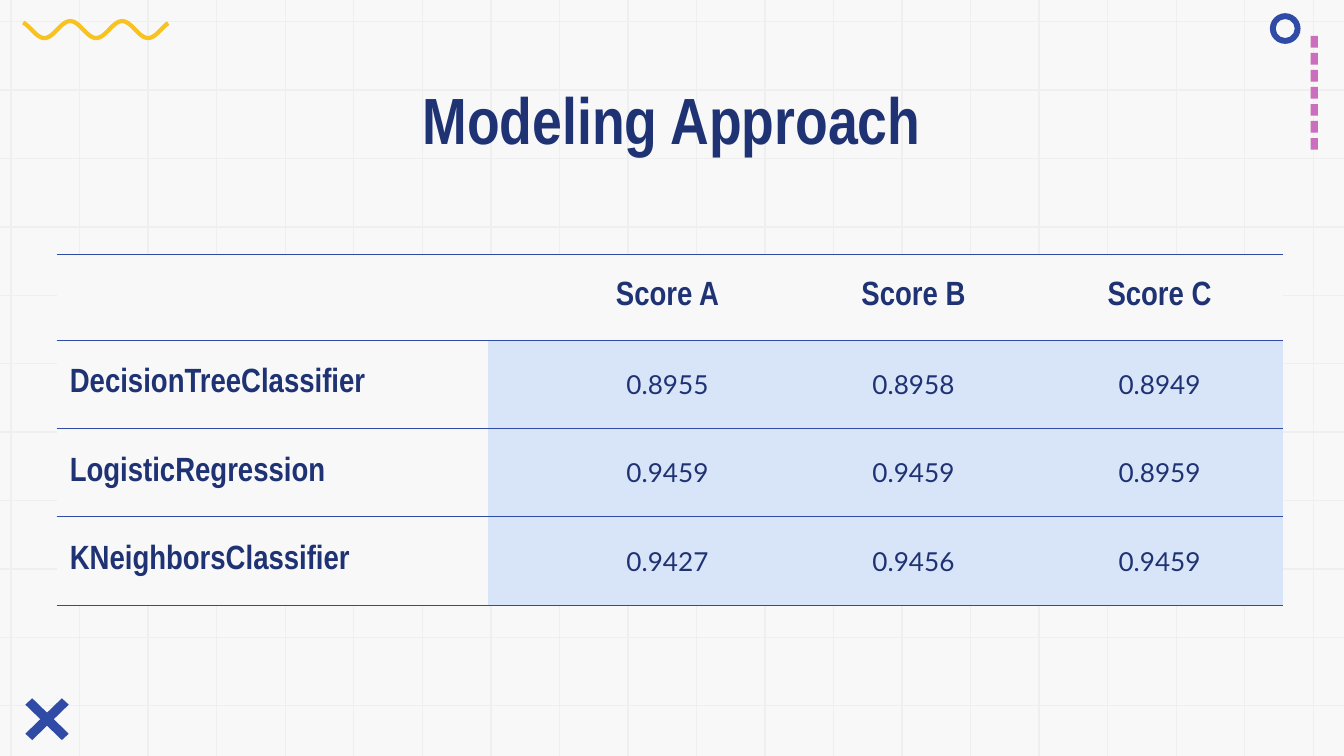
from math import atan, cos, pi, sin

from lxml.etree import SubElement
from pptx import Presentation
from pptx.dml.color import RGBColor
from pptx.enum.shapes import MSO_CONNECTOR, MSO_SHAPE
from pptx.enum.text import MSO_ANCHOR, PP_ALIGN
from pptx.oxml.ns import qn
from pptx.util import Cm, Pt

PAPER = RGBColor(0xF8, 0xF8, 0xF8)
GRID = RGBColor(0xEF, 0xEF, 0xEF)
NAVY = RGBColor(0x1F, 0x33, 0x74)
BLUE = RGBColor(0x30, 0x4B, 0xA6)
PALE = RGBColor(0xD8, 0xE4, 0xF7)
PINK = RGBColor(0xCB, 0x6E, 0xBE)
GOLD = RGBColor(0xF8, 0xC2, 0x20)

TITLE = "Modeling Approach"
ROWS = [
    ["", "", "Score A", "Score B", "Score C"],
    ["DecisionTreeClassifier", "", "0.8955", "0.8958", "0.8949"],
    ["LogisticRegression", "", "0.9459", "0.9459", "0.8959"],
    ["KNeighborsClassifier", "", "0.9427", "0.9456", "0.9459"],
]
WIDTHS = [8.15, 1.07, 4.65, 4.65, 4.65]
HEIGHTS = [1.62, 1.67, 1.67, 1.67]

HEAD = {"name": "Arial Narrow", "size": Pt(35), "bold": True}
LABEL = {"name": "Arial Narrow", "size": Pt(18), "bold": True}
SCORE = {"name": "Lato", "size": Pt(14), "bold": False}
CELL = {
    "margin_left": Cm(0.25), "margin_right": Cm(0.25),
    "margin_top": Cm(0.18), "margin_bottom": Cm(0.18),
    "vertical_anchor": MSO_ANCHOR.MIDDLE,
}
BOX = {
    "margin_left": Cm(0.25), "margin_right": Cm(0.25),
    "margin_top": Cm(0.25), "margin_bottom": Cm(0.25),
    "vertical_anchor": MSO_ANCHOR.TOP, "word_wrap": True,
}

WIDE, HIGH = 25.4, 14.29


def apply(item, values):
    for name, value in values.items():
        setattr(item, name, value)


def spread(first, last, count):
    """Return evenly spaced positions, both ends included."""
    gap = (last - first) / (count - 1)
    return [first + i * gap for i in range(count)]


def write(frame, text, style, align):
    para = frame.paragraphs[0]
    para.alignment = align
    run = para.add_run()
    run.text = text
    apply(run.font, style)
    run.font.color.rgb = NAVY


def paint(shape, color):
    shape.shadow.inherit = False
    shape.fill.solid()
    shape.fill.fore_color.rgb = color
    shape.line.fill.background()


def rule(slide, *ends):
    line = slide.shapes.add_connector(MSO_CONNECTOR.STRAIGHT, *map(Cm, ends))
    line.line.color.rgb = GRID
    line.line.width = Pt(0.75)
    SubElement(line._element.spPr, qn("a:effectLst"))


def outline(slide, points, color):
    spots = [(Cm(x), Cm(y)) for x, y in points]
    form = slide.shapes.build_freeform(*spots[0])
    form.add_line_segments(spots[1:])
    paint(form.convert_to_shape(), color)


def ribbon(left, right, low, mid, amp, period, half):
    """Return the outline of a cosine band with its trough at x = low."""
    upper, lower = [], []
    for x in spread(left, right, 90):
        turn = 2 * pi * (x - low) / period
        y = mid + amp * cos(turn)
        slope = atan(-amp * 2 * pi / period * sin(turn))
        dx, dy = half * sin(slope), half * cos(slope)
        upper.append((x + dx, y - dy))
        lower.append((x - dx, y + dy))
    return upper + lower[::-1]


def border(cell):
    """Draw the top and bottom edges and hide the side edges."""
    props = cell._tc.get_or_add_tcPr()
    for side in ("L", "R", "T", "B"):
        edge = SubElement(props, qn(f"a:ln{side}"), w=str(Pt(0.75)))
        if side in "LR":
            SubElement(edge, qn("a:noFill"))
        else:
            fill = SubElement(edge, qn("a:solidFill"))
            SubElement(fill, qn("a:srgbClr"), val=str(BLUE))


def decorate(slide):
    for y in spread(0.41, 13.34, 11):
        rule(slide, WIDE, y, 0, y)
    for x in spread(0.21, 24.82, 20):
        rule(slide, x, 0, x, HIGH)
    for y in spread(0.68, 2.61, 7):
        dash = slide.shapes.add_shape(
            MSO_SHAPE.RECTANGLE, Cm(24.77), Cm(y), Cm(0.14), Cm(0.22))
        paint(dash, PINK)
    bar = [(0.61, 13.2), (0.48, 13.32), (1.17, 13.99), (1.3, 13.87)]
    outline(slide, bar, BLUE)
    outline(slide, [(1.78 - x, y) for x, y in bar], BLUE)
    outline(slide, ribbon(0.44, 3.18, 0.84, 0.56, 0.16, 0.98, 0.04), GOLD)
    ring = slide.shapes.add_shape(
        MSO_SHAPE.DONUT, Cm(24), Cm(0.25), Cm(0.58), Cm(0.58))
    ring.adjustments[0] = 0.19
    paint(ring, BLUE)


def tabulate(slide):
    frame = slide.shapes.add_table(
        len(ROWS), len(WIDTHS), Cm(1.07), Cm(4.81),
        Cm(sum(WIDTHS)), Cm(sum(HEIGHTS)))
    table = frame.table
    apply(table, {"first_row": False, "horz_banding": False})
    for col, width in zip(table.columns, WIDTHS):
        col.width = Cm(width)
    for row, height in zip(table.rows, HEIGHTS):
        row.height = Cm(height)
    for r, texts in enumerate(ROWS):
        for c, text in enumerate(texts):
            cell = table.cell(r, c)
            inner = r > 0 and c > 0
            apply(cell, CELL)
            border(cell)
            cell.fill.solid()
            cell.fill.fore_color.rgb = PALE if inner else PAPER
            if text:
                write(cell.text_frame, text, SCORE if inner else LABEL,
                      PP_ALIGN.CENTER if c else PP_ALIGN.LEFT)


def main():
    deck = Presentation()
    apply(deck, {"slide_width": Cm(WIDE), "slide_height": Cm(HIGH)})
    slide = deck.slides.add_slide(deck.slide_layouts[6])
    slide.background.fill.solid()
    slide.background.fill.fore_color.rgb = PAPER
    decorate(slide)
    title = slide.shapes.add_textbox(Cm(2), Cm(1.24), Cm(21.4), Cm(1.6))
    apply(title.text_frame, BOX)
    write(title.text_frame, TITLE, HEAD, PP_ALIGN.CENTER)
    tabulate(slide)
    deck.save("out.pptx")


if __name__ == "__main__":
    main()
